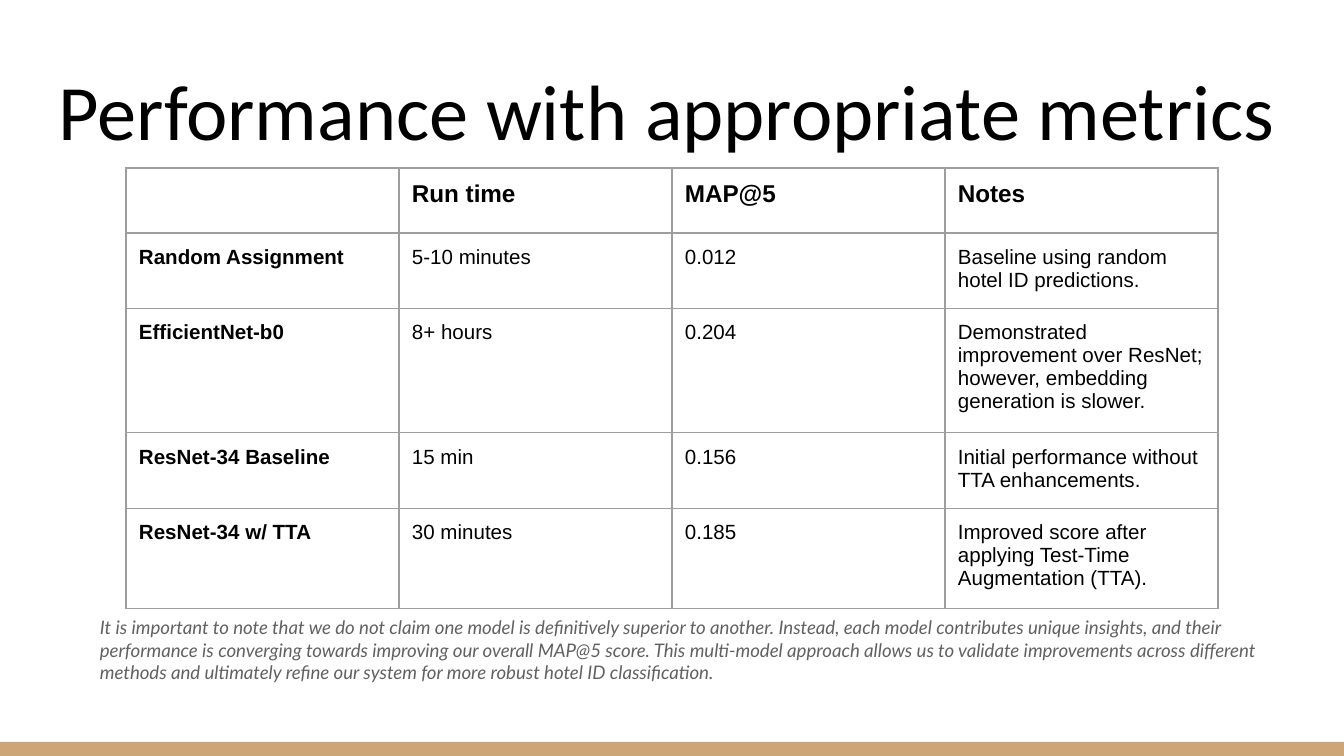
from pptx import Presentation
from pptx.dml.color import RGBColor as RGB
from pptx.enum.shapes import MSO_SHAPE as SHAPE
from pptx.enum.text import MSO_ANCHOR as ANCHOR
from pptx.oxml import parse_xml
from pptx.oxml.ns import nsdecls
from pptx.util import Emu, Pt

SCALE = 914400 / 134.4  # EMU per px
PAD = 13
COLORS = {"text": "000000", "note": "616161", "line": "9E9E9E", "bar": "CCA677"}

TITLE = "Performance with appropriate metrics"
ROWS = [
    ("", "Run time", "MAP@5", "Notes"),
    ("Random Assignment", "5-10 minutes", "0.012",
     "Baseline using random hotel ID predictions."),
    ("EfficientNet-b0", "8+ hours", "0.204",
     "Demonstrated improvement over ResNet; however, embedding generation is slower."),
    ("ResNet-34 Baseline", "15 min", "0.156",
     "Initial performance without TTA enhancements."),
    ("ResNet-34 w/ TTA", "30 minutes", "0.185",
     "Improved score after applying Test-Time Augmentation (TTA)."),
]
HEIGHTS = [65, 72, 118, 74, 95]
WIDTH = 273
NOTE = (
    "It is important to note that we do not claim one model is definitively superior "
    "to another. Instead, each model contributes unique insights, and their performance "
    "is converging towards improving our overall MAP@5 score. This multi-model approach "
    "allows us to validate improvements across different methods and ultimately refine "
    "our system for more robust hotel ID classification."
)


def px(num):
    return Emu(round(num * SCALE))


def style(para, size, face, color="text", bold=False, italic=False):
    font = para.font
    font.size, font.name = Pt(size), face
    font.bold, font.italic = bold, italic
    font.color.rgb = RGB.from_string(COLORS[color])


def pad(item):
    item.margin_left = item.margin_right = px(PAD)
    item.margin_top = item.margin_bottom = px(PAD)


def add_text(slide, box, text, size, face, anchor=ANCHOR.TOP, **look):
    frame = slide.shapes.add_textbox(*map(px, box)).text_frame
    frame.word_wrap = True
    frame.vertical_anchor = anchor
    pad(frame)
    frame.text = text
    style(frame.paragraphs[0], size, face, **look)


def add_bar(slide, box):
    bar = slide.shapes.add_shape(SHAPE.RECTANGLE, *map(px, box))
    bar.shadow.inherit = False
    bar.fill.solid()
    bar.fill.fore_color.rgb = RGB.from_string(COLORS["bar"])
    bar.line.fill.background()


def set_edges(cell):
    props = cell._tc.get_or_add_tcPr()
    for n, side in enumerate(("lnL", "lnR", "lnT", "lnB")):
        props.insert(n, parse_xml(
            f'<a:{side} {nsdecls("a")} w="{Pt(0.75)}"><a:solidFill>'
            f'<a:srgbClr val="{COLORS["line"]}"/></a:solidFill></a:{side}>'))


def add_grid(slide, left, top):
    cols = len(ROWS[0])
    box = (left, top, cols * WIDTH, sum(HEIGHTS))
    table = slide.shapes.add_table(len(ROWS), cols, *map(px, box)).table
    table.first_row = table.horz_banding = False
    for col in table.columns:
        col.width = px(WIDTH)
    for r, row in enumerate(ROWS):
        table.rows[r].height = px(HEIGHTS[r])
        for c, text in enumerate(row):
            cell = table.cell(r, c)
            cell.text = text
            cell.fill.background()
            pad(cell)
            set_edges(cell)
            # Header row and first column are bold
            style(cell.text_frame.paragraphs[0], 11 if r else 13, "Arial",
                  bold=r == 0 or c == 0)


def main():
    deck = Presentation()
    deck.slide_width, deck.slide_height = px(1344), px(756)
    slide = deck.slides.add_slide(deck.slide_layouts[6])

    # Bottom band
    add_bar(slide, (0, 742, 1344, 14))
    # Heading
    add_text(slide, (46, 47, 1253, 122), TITLE, 42, "Calibri", ANCHOR.BOTTOM)
    # Results table
    add_grid(slide, 126, 168)
    # Closing remark
    add_text(slide, (87, 603, 1226, 136), NOTE, 10, "Lato", color="note", italic=True)

    deck.save("out.pptx")


if __name__ == "__main__":
    main()
